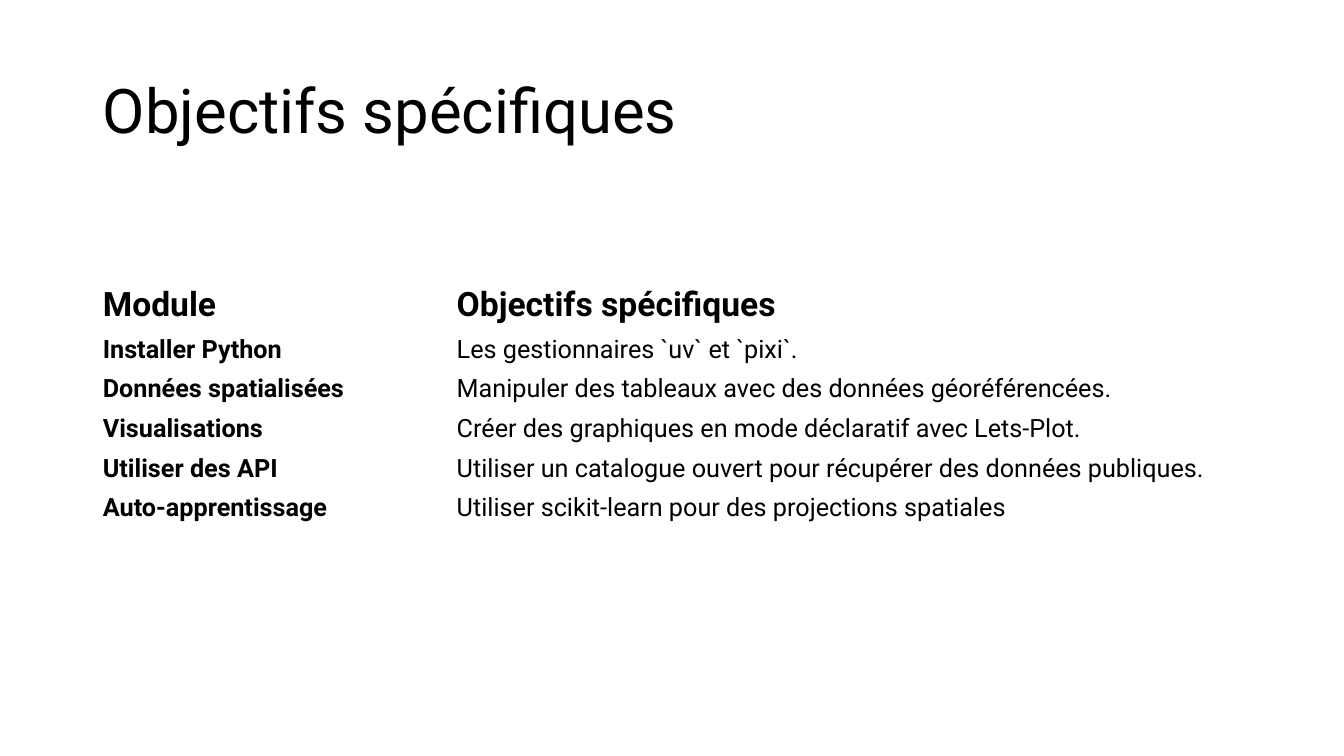
from pptx import Presentation
from pptx.dml.color import RGBColor
from pptx.enum.text import MSO_ANCHOR, PP_ALIGN
from pptx.util import Inches, Pt

MIDDLE = MSO_ANCHOR.MIDDLE
LEFT = PP_ALIGN.LEFT
BLACK = RGBColor(0x00, 0x00, 0x00)
FONT = "Roboto"

MODULES = [
    ("Module", "Objectifs spécifiques"),
    ("Installer Python", "Les gestionnaires `uv` et `pixi`."),
    ("Données spatialisées", "Manipuler des tableaux avec des données géoréférencées."),
    ("Visualisations", "Créer des graphiques en mode déclaratif avec Lets-Plot."),
    ("Utiliser des API", "Utiliser un catalogue ouvert pour récupérer des données publiques."),
    ("Auto-apprentissage", "Utiliser scikit-learn pour des projections spatiales"),
]
COLUMN_WIDTHS = (3.51, 7.99)
HEADER_HEIGHT, ROW_HEIGHT = 0.49, 0.39


def add_text(text_frame, text, size, bold=False):
    paragraph = text_frame.paragraphs[0]
    paragraph.alignment = LEFT
    run = paragraph.add_run()
    run.text = text
    run.font.name = FONT
    run.font.size = Pt(size)
    run.font.bold = bold
    run.font.color.rgb = BLACK
    return paragraph


presentation = Presentation()
presentation.slide_width = Inches(13.33)
presentation.slide_height = Inches(7.5)
slide = presentation.slides.add_slide(presentation.slide_layouts[5])

# Title
title = slide.shapes.title
title.left, title.top = Inches(0.92), Inches(0.4)
title.width, title.height = Inches(11.5), Inches(1.45)
title.text_frame.vertical_anchor = MIDDLE
title.text_frame.word_wrap = True
add_text(title.text_frame, "Objectifs spécifiques", 44).line_spacing = 0.9

# Table of modules and their objectives
table_height = HEADER_HEIGHT + ROW_HEIGHT * (len(MODULES) - 1)
table = slide.shapes.add_table(
    len(MODULES), len(COLUMN_WIDTHS),
    Inches(0.92), Inches(2.78), Inches(sum(COLUMN_WIDTHS)), Inches(table_height),
).table
table.first_row = False
table.horz_banding = False
for column, width in zip(table.columns, COLUMN_WIDTHS):
    column.width = Inches(width)

for row_index, texts in enumerate(MODULES):
    is_header = row_index == 0
    table.rows[row_index].height = Inches(HEADER_HEIGHT if is_header else ROW_HEIGHT)
    for column_index, text in enumerate(texts):
        cell = table.cell(row_index, column_index)
        cell.fill.background()
        cell.vertical_anchor = MIDDLE
        add_text(cell.text_frame, text, 24 if is_header else 18,
                 bold=is_header or column_index == 0)

presentation.save("out.pptx")
